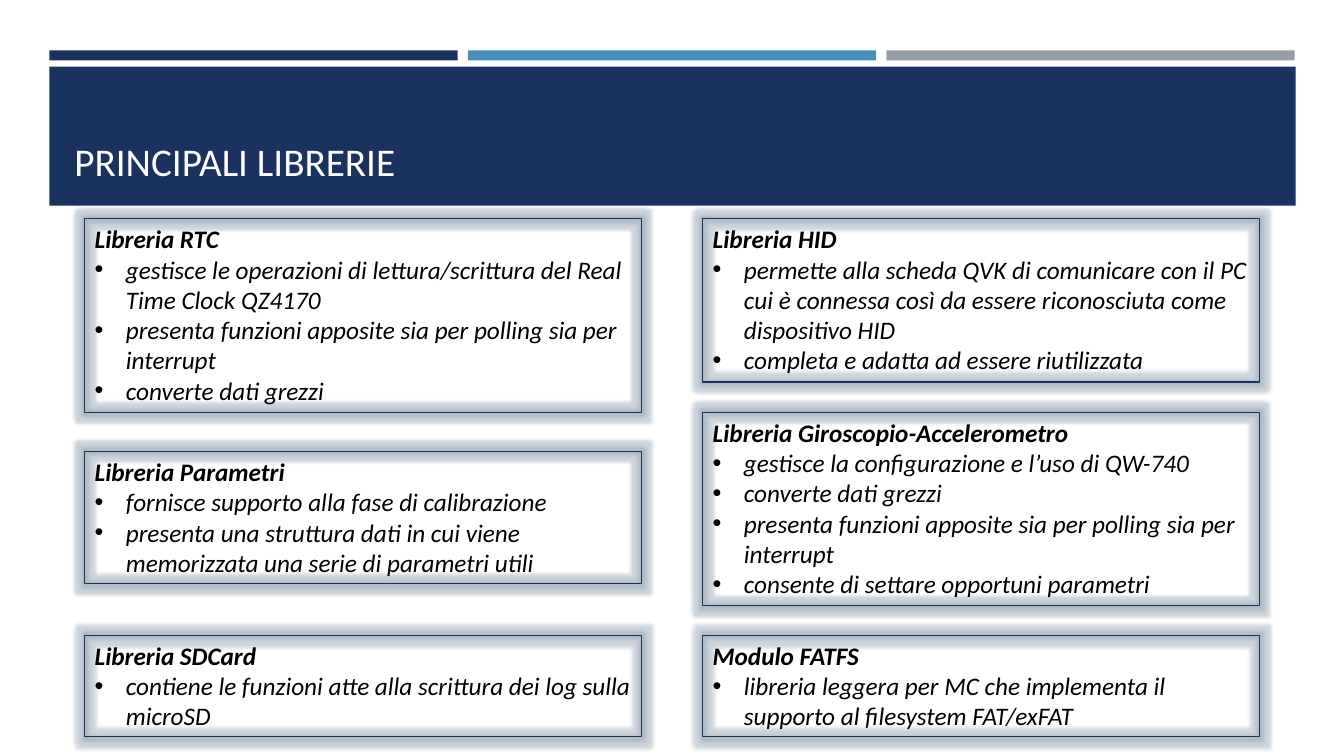
from lxml.etree import SubElement
from pptx import Presentation
from pptx.dml.color import RGBColor
from pptx.enum.shapes import MSO_SHAPE
from pptx.enum.text import MSO_ANCHOR, MSO_AUTO_SIZE, PP_ALIGN
from pptx.oxml.ns import qn
from pptx.util import Inches, Pt

COLORS = {"navy": "1A3260", "blue": "4590B8", "grey": "969FA7",
          "glow": "8496A8", "white": "FFFFFF", "black": "000000"}
FONT = "Calibri"

presentation = Presentation()
presentation.slide_width = Inches(13.33)
presentation.slide_height = Inches(7.5)
slide = presentation.slides.add_slide(presentation.slide_layouts[6])


def add_rectangle(left, top, width, height, fill=None):
    shape = slide.shapes.add_shape(MSO_SHAPE.RECTANGLE, Inches(left), Inches(top),
                                   Inches(width), Inches(height))
    shape.shadow.inherit = False
    if fill:
        shape.fill.solid()
        shape.fill.fore_color.rgb = RGBColor.from_string(COLORS[fill])
        shape.line.fill.background()
    else:
        shape.fill.background()
        shape.line.color.rgb = RGBColor.from_string(COLORS["navy"])
        shape.line.width = Pt(0.75)
    return shape


def add_run(paragraph, text, size, color, bold=False, italic=False):
    run = paragraph.add_run()
    run.text = text
    run.font.name = FONT
    run.font.size = Pt(size)
    run.font.bold = bold
    run.font.italic = italic
    run.font.color.rgb = RGBColor.from_string(COLORS[color])


# Header: three strips above the title band
for index, color in enumerate(["navy", "blue", "grey"]):
    add_rectangle(0.49 + index * 4.15, 0.5, 4.05, 0.1, color)
add_rectangle(0.49, 0.66, 12.36, 1.38, "navy")

# Title
title = slide.shapes.add_textbox(Inches(0.64), Inches(0.8), Inches(12.06), Inches(1.08))
title.text_frame.word_wrap = True
title.text_frame.vertical_anchor = MSO_ANCHOR.BOTTOM
add_run(title.text_frame.paragraphs[0], "PRINCIPALI LIBRERIE", 28, "white")

# Library boxes: left, top, height, heading, bullet points
LEFT_COLUMN, RIGHT_COLUMN = 0.84, 6.97
libraries = [
    (LEFT_COLUMN, 2.17, 1.92, "Libreria RTC", [
        "gestisce le operazioni di lettura/scrittura del Real Time Clock QZ4170",
        "presenta funzioni apposite sia per polling sia per interrupt",
        "converte dati grezzi"]),
    (LEFT_COLUMN, 4.48, 1.31, "Libreria Parametri", [
        "fornisce supporto alla fase di calibrazione",
        "presenta una struttura dati in cui viene memorizzata una serie di parametri utili"]),
    (LEFT_COLUMN, 6.3, 1.01, "Libreria SDCard", [
        "contiene le funzioni atte alla scrittura dei log sulla microSD"]),
    (RIGHT_COLUMN, 2.17, 1.62, "Libreria HID", [
        "permette alla scheda QVK di comunicare con il PC cui è connessa "
        "così da essere riconosciuta come dispositivo HID",
        "completa e adatta ad essere riutilizzata"]),
    (RIGHT_COLUMN, 4.09, 1.92, "Libreria Giroscopio-Accelerometro", [
        "gestisce la configurazione e l’uso di QW-740",
        "converte dati grezzi",
        "presenta funzioni apposite sia per polling sia per interrupt",
        "consente di settare opportuni parametri"]),
    (RIGHT_COLUMN, 6.3, 1.01, "Modulo FATFS", [
        "libreria leggera per MC che implementa il supporto al filesystem FAT/exFAT"]),
]

for left, top, height, heading, points in libraries:
    box = add_rectangle(left, top, 5.52, height)

    # Soft glow around the outline
    effects = box._element.spPr.find(qn("a:effectLst"))
    glow = SubElement(effects, qn("a:glow"), rad=str(Inches(0.07)))
    glow_color = SubElement(glow, qn("a:srgbClr"), val=COLORS["glow"])
    SubElement(glow_color, qn("a:alpha"), val="40000")

    frame = box.text_frame
    frame.word_wrap = True
    frame.auto_size = MSO_AUTO_SIZE.SHAPE_TO_FIT_TEXT
    frame.vertical_anchor = MSO_ANCHOR.TOP
    heading_paragraph = frame.paragraphs[0]
    heading_paragraph.alignment = PP_ALIGN.LEFT
    add_run(heading_paragraph, heading, 18, "black", bold=True, italic=True)

    for point in points:
        paragraph = frame.add_paragraph()
        paragraph.alignment = PP_ALIGN.LEFT
        properties = paragraph._p.get_or_add_pPr()
        properties.set("marL", str(Inches(0.31)))
        properties.set("indent", str(-Inches(0.31)))
        SubElement(properties, qn("a:buFont"), typeface="Arial")
        SubElement(properties, qn("a:buChar"), char="•")
        add_run(paragraph, point, 18, "black", italic=True)

presentation.save("out.pptx")
